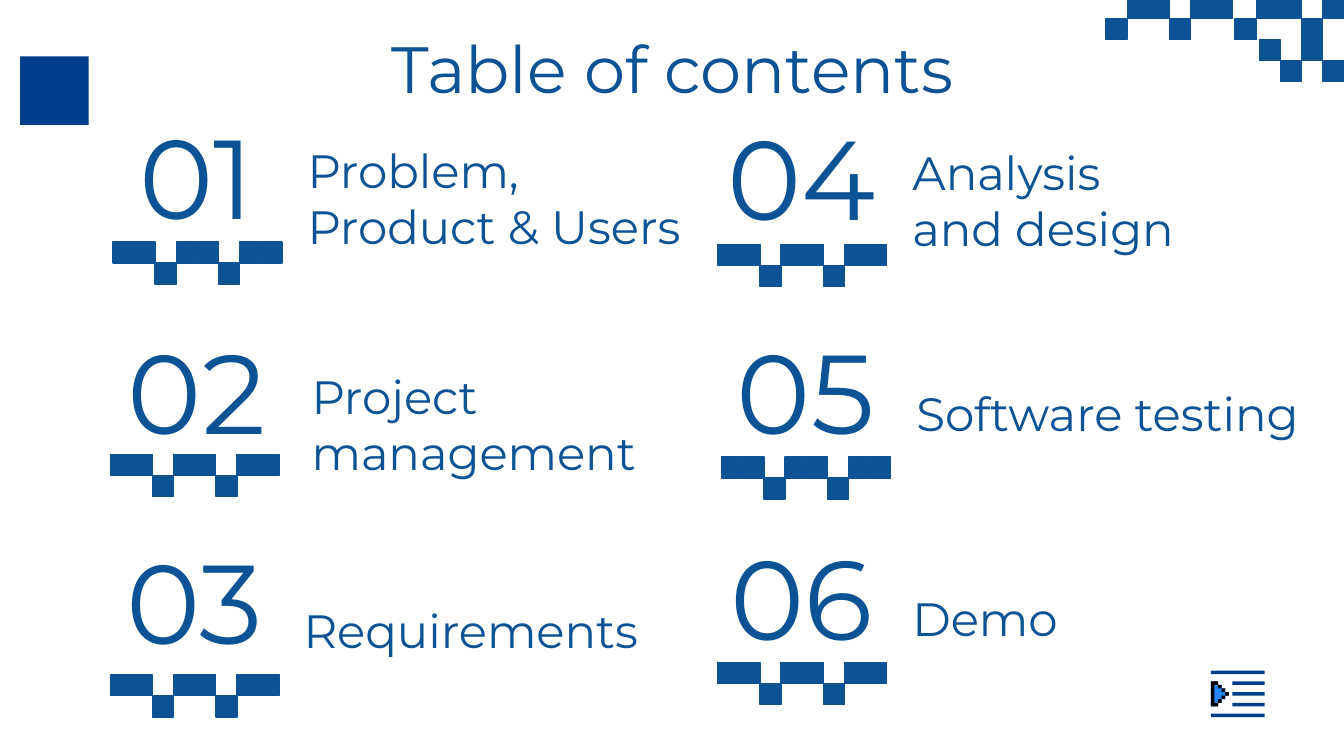
from pptx import Presentation
from pptx.dml.color import RGBColor
from pptx.enum.shapes import MSO_SHAPE as SHAPE
from pptx.enum.text import MSO_ANCHOR as ANCHOR, MSO_AUTO_SIZE as AUTO, PP_ALIGN as ALIGN
from pptx.util import Inches, Pt

COLORS = {"blue": "0B5394", "navy": "003F8A", "bright": "2488FF", "black": "000000"}
FONT = "Montserrat"
SQUARE = 1.1 / 7
PIXEL = 0.4 / 15
ICON_LEFT, ICON_TOP = 9.01, 4.99

deck = Presentation()
deck.slide_width = Inches(10)
deck.slide_height = deck.slide_width * 9 // 16
page = deck.slides.add_slide(deck.slide_layouts[5])


def add_rect(left, top, width, height, color, outlined=False):
    rect = page.shapes.add_shape(
        SHAPE.RECTANGLE, Inches(left), Inches(top), Inches(width), Inches(height))
    rect.shadow.inherit = False
    rect.fill.solid()
    rect.fill.fore_color.rgb = RGBColor.from_string(COLORS[color])
    if outlined:
        rect.line.color.rgb = RGBColor.from_string(COLORS[color])
        rect.line.width = Pt(0.75)
    else:
        rect.line.fill.background()


def write_text(box, place, text, size, align, anchor):
    box.left, box.top, box.width, box.height = [Inches(value) for value in place]
    frame = box.text_frame
    frame.text = text
    frame.word_wrap = True
    frame.auto_size = AUTO.NONE
    frame.vertical_anchor = anchor
    frame.margin_left = frame.margin_right = Inches(0.1)
    frame.margin_top = frame.margin_bottom = Inches(0.1)
    for para in frame.paragraphs:
        para.alignment = align
        for span in para.runs:
            span.font.name = FONT
            span.font.size = Pt(size)
            span.font.color.rgb = RGBColor.from_string(COLORS["blue"])


bar_cells = [(0, 0), (1, 0), (2, 1), (3, 0), (4, 0), (5, 1), (6, 0), (7, 0)]
corner_left_cells = [(0, 1), (1, 0), (2, 0), (3, 1), (4, 0), (5, 0)]
corner_middle_cells = [(0, 1), (1, 0), (2, 0)]
corner_right_cells = [(1, 0), (3, 0), (2, 1), (0, 2), (2, 2), (1, 3), (3, 3)]
checkers = [
    (8.23, -0.02, corner_left_cells),
    (9.19, -0.02, corner_middle_cells),
    (9.37, -0.02, corner_right_cells),
    (0.84, 1.8, bar_cells),
    (0.82, 3.38, bar_cells),
    (0.82, 5.02, bar_cells),
    (5.34, 1.82, bar_cells),
    (5.37, 3.4, bar_cells),
    (5.34, 4.93, bar_cells),
]
for left, top, cells in checkers:
    for column, row in cells:
        add_rect(left + column * SQUARE, top + row * SQUARE, SQUARE, SQUARE, "blue", True)

add_rect(0.15, 0.42, 0.51, 0.51, "navy")

arrow = [(0, 3), (0, 10), (2, 10), (2, 9), (3, 9), (3, 8), (4, 8), (4, 7),
         (5, 7), (5, 6), (4, 6), (4, 5), (3, 5), (3, 4), (2, 4), (2, 3)]
arrow_back = [(0, 3), (0, 10), (2, 10), (2, 9), (1, 9), (1, 4), (2, 4), (2, 3)]
for points, color in [(arrow, "bright"), (arrow_back, "black")]:
    builder = page.shapes.build_freeform(*points[0], scale=Inches(PIXEL))
    builder.add_line_segments(points[1:], close=True)
    outline = builder.convert_to_shape(Inches(ICON_LEFT), Inches(ICON_TOP))
    outline.shadow.inherit = False
    outline.fill.solid()
    outline.fill.fore_color.rgb = RGBColor.from_string(COLORS[color])
    outline.line.fill.background()

menu_lines = [(0, 0, 15), (6, 3, 9), (6, 6, 9), (6, 9, 9), (0, 12, 15)]
arrow_edge = [(2, 4, 1), (3, 5, 1), (4, 6, 1), (3, 7, 1), (2, 8, 1)]
for strips, color in [(menu_lines, "navy"), (arrow_edge, "black")]:
    for column, row, length in strips:
        add_rect(ICON_LEFT + column * PIXEL, ICON_TOP + row * PIXEL,
                 length * PIXEL, PIXEL, color)

write_text(page.shapes.title, (0.79, 0.11, 8.43, 0.63), "Table of contents",
           35, ALIGN.CENTER, ANCHOR.TOP)

sections = [
    ((0.81, 1.02), "Problem, Product & Users", (2.19, 1, 3.02, 0.94)),
    ((0.81, 2.62), "Project management", (2.22, 2.66, 2.79, 0.99)),
    ((0.79, 4.18), "Requirements", (2.16, 4.41, 2.79, 0.56)),
    ((5.31, 1.03), "Analysis\nand design", (6.69, 1.02, 2.79, 0.94)),
    ((5.34, 2.62), "Software testing", (6.72, 2.6, 3.12, 0.94)),
    ((5.31, 4.15), "Demo", (6.69, 4.13, 2.79, 0.94)),
]
for number, (corner, label, label_place) in enumerate(sections, 1):
    for place, text, size, align in [
        ((*corner, 1.31, 0.56), f"{number:02}", 60, ALIGN.CENTER),
        (label_place, label, 25, ALIGN.LEFT),
    ]:
        box = page.shapes.add_textbox(0, 0, 0, 0)
        write_text(box, place, text, size, align, ANCHOR.MIDDLE)

deck.save("out.pptx")
